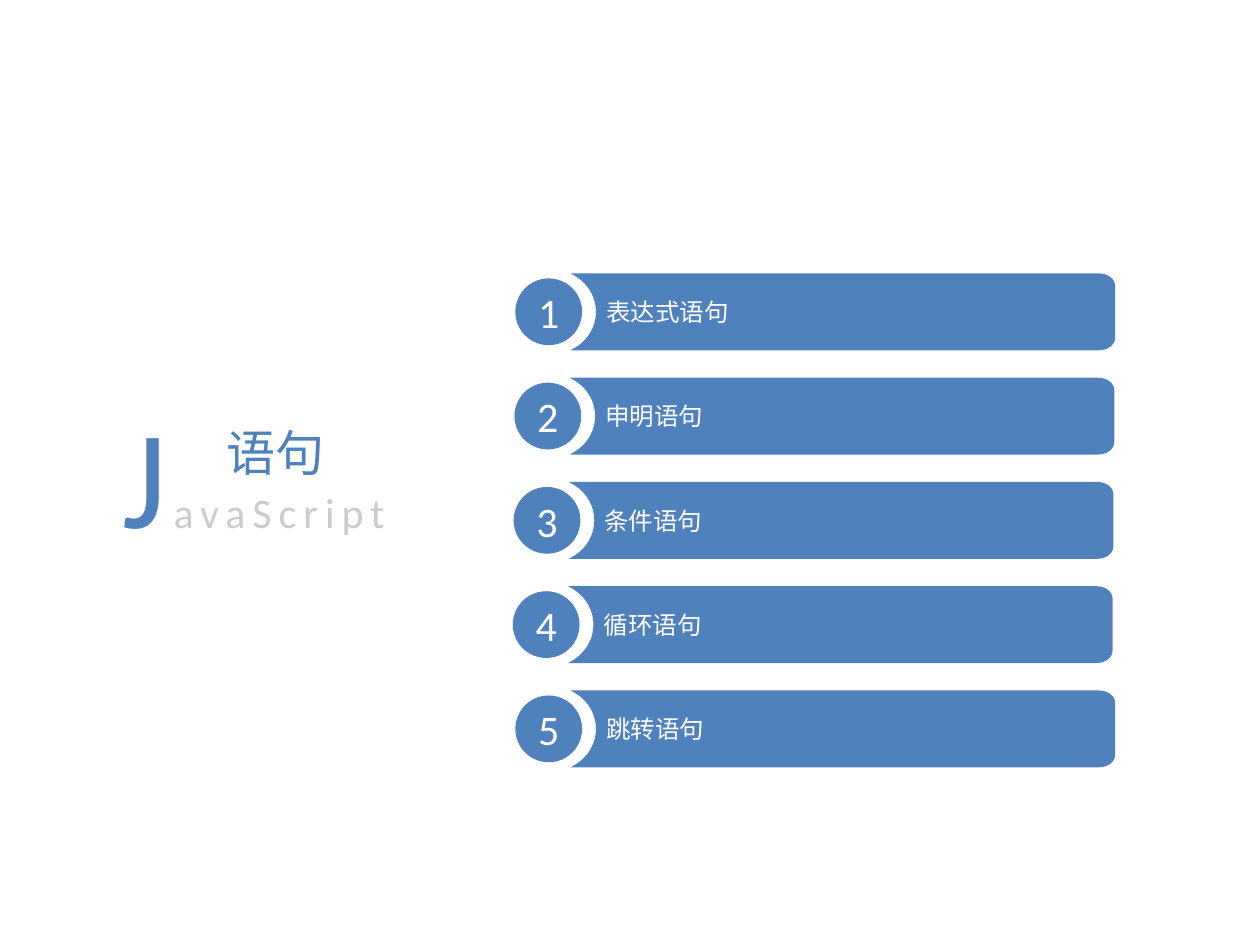
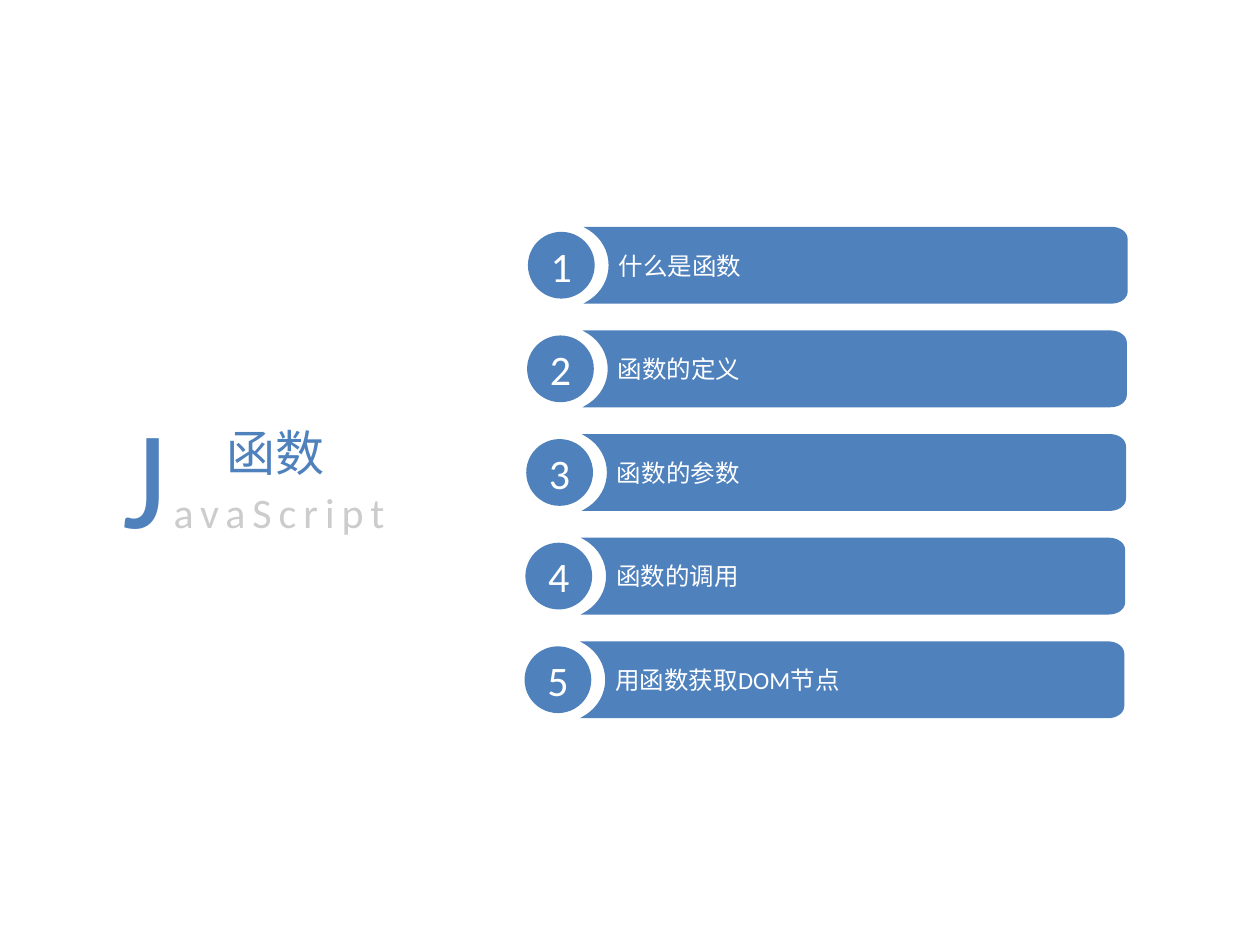
import pptx
import pptx.dml.color
import pptx.enum.shapes
import pptx.enum.text
import pptx.oxml.ns
import pptx.util
from pptx.util import Inches

COLORS = {"accent": "4F81BD", "muted": "CCCCCC", "white": "FFFFFF"}
CJK_FONT = "Noto Sans CJK SC"
ALIGN = pptx.enum.text.PP_ALIGN
BAR_SIZE = (4.32, 0.61)
BADGE_OFFSET = (-0.44, 0.04)
BADGE_SIZE = 0.53
DRIFT = -0.02 / 3

STYLES = {
    "initial": {"size": 80, "name": "Calibri", "color": "accent"},
    "rest": {"size": 24, "name": "Calibri", "color": "muted"},
    "title": {"size": 28, "name": "Arial", "color": "accent"},
    "label": {"size": 14, "name": "Calibri", "color": "white"},
    "number": {"size": 24, "name": "Calibri", "color": "white"},
}

TOPICS = [
    {"title": "语句", "left": 4.53, "tops": (2.17, 5.48), "drifts": (0, 1, 2, 3, 0),
     "fonts": {"title": "Arial", "label": CJK_FONT},
     "labels": ["表达式语句", "申明语句", "条件语句", "循环语句", "跳转语句"]},
    {"title": "函数", "left": 4.63, "tops": (1.8, 5.09), "drifts": (0, 1, 2, 3, 4),
     "fonts": {"title": CJK_FONT, "label": "Calibri"},
     "labels": ["什么是函数", "函数的定义", "函数的参数", "函数的调用", "用函数获取DOM节点"]},
]


def set_format(target, values):
    """Set each named attribute on the target."""
    for name, value in values.items():
        setattr(target, name, value)


def add_span(para, text, style, font_name=None, spacing=None):
    """Append a styled run, with optional letter spacing in points."""
    span = para.add_run()
    span.text = text
    look = STYLES[style]
    set_format(span.font, {"size": pptx.util.Pt(look["size"]),
                           "name": font_name or look["name"]})
    span.font.color.rgb = pptx.dml.color.RGBColor.from_string(COLORS[look["color"]])
    properties = span.font._element
    east_asian = properties.makeelement(pptx.oxml.ns.qn("a:ea"), {"typeface": CJK_FONT})
    properties.find(pptx.oxml.ns.qn("a:latin")).addnext(east_asian)
    if spacing:
        properties.set("spc", str(spacing * 100))


def set_frame(shape, insets=(0.1, 0.05, 0.1, 0.05), align=ALIGN.LEFT, wrap=True):
    """Centre the text vertically and return its first paragraph."""
    sides = ("margin_left", "margin_top", "margin_right", "margin_bottom")
    frame = shape.text_frame
    set_format(frame, dict(zip(sides, map(Inches, insets))))
    set_format(frame, {"word_wrap": wrap, "vertical_anchor": pptx.enum.text.MSO_ANCHOR.MIDDLE,
                       "auto_size": pptx.enum.text.MSO_AUTO_SIZE.NONE})
    para = frame.paragraphs[0]
    para.alignment = align
    return para


def paint(shape):
    """Give a shape the flat accent fill."""
    shape.shadow.inherit = False
    shape.fill.solid()
    shape.fill.fore_color.rgb = pptx.dml.color.RGBColor.from_string(COLORS["accent"])
    shape.line.fill.background()


def bar_segments(width, height):
    """Return the bar's segments: one point is a line, three are a curve."""
    shoulder = width - 0.13
    return [
        [(shoulder, 0)],
        [(width - 0.06, 0), (width, 0.04), (width, 0.1)],
        [(width, height - 0.1)],
        [(width, height - 0.04), (width - 0.06, height), (shoulder, height)],
        [(0, height)],
        [(0.05, height - 0.03)],
        [(0.14, height - 0.09), (0.2, height - 0.19), (0.2, height / 2)],
        [(0.2, 0.19), (0.14, 0.09), (0.05, 0.03)],
    ]


def add_bar(page, left, top):
    """Draw a bar with round right corners and a scooped left end."""
    segments = bar_segments(*BAR_SIZE)
    builder = page.shapes.build_freeform(Inches(left), Inches(top))
    builder.add_line_segments([(Inches(left + x), Inches(top + y))
                               for x, y in (segment[-1] for segment in segments)])
    bar = builder.convert_to_shape()
    lines = list(bar._element.iter(pptx.oxml.ns.qn("a:lnTo")))
    for line, segment in zip(lines, segments):
        if len(segment) == 3:
            line.tag = pptx.oxml.ns.qn("a:cubicBezTo")
            line.clear()
            for x, y in segment:
                place = {"x": str(Inches(x)), "y": str(Inches(y))}
                line.append(line.makeelement(pptx.oxml.ns.qn("a:pt"), place))
    paint(bar)
    return bar


def add_item(page, left, top, number, label, font_name):
    """Draw one numbered bar at the given corner."""
    bar = add_bar(page, left, top)
    add_span(set_frame(bar, (0.28, 0.04, 0.04, 0.04)), label, "label", font_name)

    badge = page.shapes.add_shape(
        pptx.enum.shapes.MSO_SHAPE.OVAL, Inches(left + BADGE_OFFSET[0]),
        Inches(top + BADGE_OFFSET[1]), Inches(BADGE_SIZE), Inches(BADGE_SIZE))
    paint(badge)
    add_span(set_frame(badge, align=ALIGN.CENTER, wrap=False), str(number), "number")


def add_heading(page, box, title, font_name):
    """Draw the large JavaScript wordmark with the topic title above it."""
    left, top, width, height = box
    wordmark = page.shapes.add_textbox(*map(Inches, box))
    para = set_frame(wordmark)
    add_span(para, "J", "initial", spacing=4)
    add_span(para, "avaScript", "rest", spacing=4)

    heading = page.shapes.title
    set_format(heading, {"left": Inches(left + 0.83), "top": Inches(top + 0.17),
                         "width": Inches(2.01), "height": Inches(0.49)})
    add_span(set_frame(heading), title, "title", font_name)


def add_topic_page(deck, topic):
    """Add a page with a heading and its evenly spaced list."""
    page = deck.slides.add_slide(deck.slide_layouts[5])
    add_heading(page, (0.87, 3.17, 4.88, 1.16), topic["title"], topic["fonts"]["title"])
    first, last = topic["tops"]
    pitch = (last - first) / (len(topic["labels"]) - 1)
    for index, (label, drift) in enumerate(zip(topic["labels"], topic["drifts"])):
        add_item(page, topic["left"] + drift * DRIFT, first + index * pitch,
                 index + 1, label, topic["fonts"]["label"])


def main():
    """Build and save the deck."""
    deck = pptx.Presentation()
    set_format(deck, {"slide_width": Inches(10), "slide_height": Inches(7.5)})
    for topic in TOPICS:
        add_topic_page(deck, topic)
    deck.save("out.pptx")


if __name__ == "__main__":
    main()
